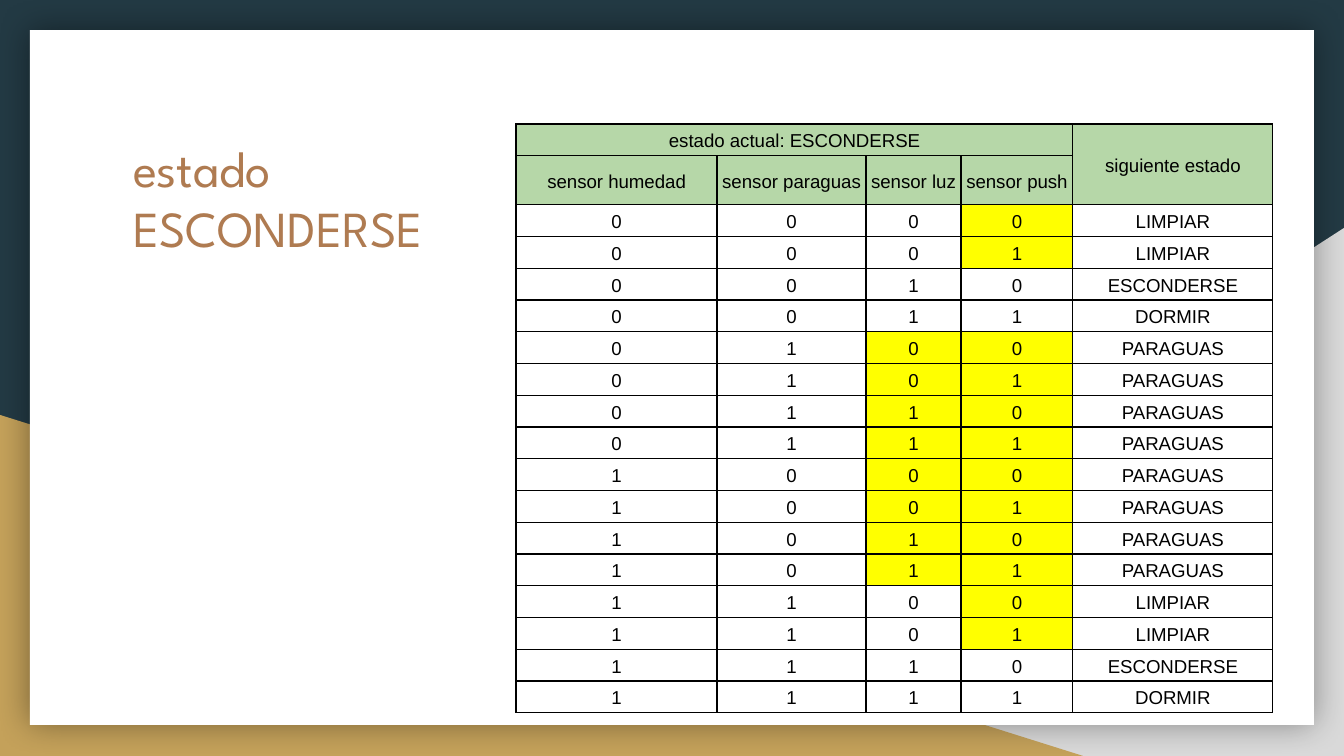
from dataclasses import dataclass
from itertools import product

from lxml.etree import SubElement
from pptx import Presentation
from pptx.dml.color import RGBColor
from pptx.enum.shapes import MSO_SHAPE
from pptx.enum.text import MSO_ANCHOR, PP_ALIGN
from pptx.oxml import parse_xml
from pptx.oxml.ns import nsdecls, qn
from pptx.util import Emu, Pt


@dataclass(frozen=True)
class Theme:
    navy: str = "233A44"
    gray: str = "D9D9D9"
    gold: str = "C4A15A"
    white: str = "FFFFFF"
    black: str = "000000"
    copper: str = "AF7B51"
    header: str = "B6D7A8"
    highlight: str = "FFFF00"
    title_font: str = "League Spartan"
    table_font: str = "Arial"
    title_size: float = 27
    table_size: float = 10
    border_width: float = 0.75
    shadow_blur: float = 18
    shadow_alpha: int = 40


def px(value):
    return Emu(round(value * 914400 / 134.4))


class SlideBuilder:
    def __init__(self, slide, theme):
        self.slide = slide
        self.theme = theme

    def background(self, color):
        fill = self.slide.background.fill
        fill.solid()
        fill.fore_color.rgb = RGBColor.from_string(color)

    def panel(self, preset, box, color, flipped=False, glow=False):
        shape = self.slide.shapes.add_shape(preset, *map(px, box))
        shape.shadow.inherit = False
        shape.fill.solid()
        shape.fill.fore_color.rgb = RGBColor.from_string(color)
        shape.line.fill.background()
        properties = shape._element.spPr
        if flipped:
            properties.find(qn("a:xfrm")).set("flipH", "1")
        if glow:
            properties.find(qn("a:effectLst")).append(parse_xml(
                f'<a:outerShdw {nsdecls("a")} blurRad="{Pt(self.theme.shadow_blur)}" '
                f'dist="0" dir="0" algn="ctr" rotWithShape="0">'
                f'<a:srgbClr val="{self.theme.black}">'
                f'<a:alpha val="{self.theme.shadow_alpha * 1000}"/>'
                f'</a:srgbClr></a:outerShdw>'))

    def run(self, paragraph, text, font, size, color):
        run = paragraph.add_run()
        run.text = text
        run.font.name = font
        run.font.size = Pt(size)
        run.font.color.rgb = RGBColor.from_string(color)

    def title(self, text, box):
        frame = self.slide.shapes.add_textbox(*map(px, box)).text_frame
        frame.word_wrap = True
        frame.margin_left = frame.margin_right = px(13)
        frame.margin_top = frame.margin_bottom = px(13)
        self.run(frame.paragraphs[0], text, self.theme.title_font,
                 self.theme.title_size, self.theme.copper)

    def table(self, left, top, widths, heights):
        table = self.slide.shapes.add_table(
            len(heights), len(widths), px(left), px(top),
            px(sum(widths)), px(sum(heights))).table
        table.first_row = table.horz_banding = False
        for column, width in zip(table.columns, widths):
            column.width = px(width)
        for row, height in zip(table.rows, heights):
            row.height = px(height)
        for cell in table.iter_cells():
            self.borders(cell)
        return table

    def borders(self, cell):
        properties = cell._tc.get_or_add_tcPr()
        for side in ("lnL", "lnR", "lnT", "lnB"):
            line = SubElement(properties, qn(f"a:{side}"),
                              w=str(Pt(self.theme.border_width)))
            fill = SubElement(line, qn("a:solidFill"))
            SubElement(fill, qn("a:srgbClr"), val=self.theme.black)

    def cell(self, cell, text, color):
        cell.fill.solid()
        cell.fill.fore_color.rgb = RGBColor.from_string(color)
        cell.vertical_anchor = MSO_ANCHOR.MIDDLE
        cell.margin_left = cell.margin_right = px(4)
        cell.margin_top = cell.margin_bottom = px(3)
        paragraph = cell.text_frame.paragraphs[0]
        paragraph.alignment = PP_ALIGN.CENTER
        paragraph.line_spacing = 1.15
        self.run(paragraph, text, self.theme.table_font,
                 self.theme.table_size, self.theme.black)


def next_state(humidity, umbrella, light, push):
    if humidity != umbrella:
        return "PARAGUAS"
    if not light:
        return "LIMPIAR"
    return "DORMIR" if push else "ESCONDERSE"


def ignored_sensors(humidity, umbrella, light):
    if humidity != umbrella:
        return {2, 3}
    return set() if light else {3}


theme = Theme()
presentation = Presentation()
presentation.slide_width, presentation.slide_height = px(1344), px(756)
slide = presentation.slides.add_slide(presentation.slide_layouts[6])
builder = SlideBuilder(slide, theme)

builder.background(theme.navy)
builder.panel(MSO_SHAPE.RIGHT_TRIANGLE, (527, 228, 817, 528), theme.gray, flipped=True)
builder.panel(MSO_SHAPE.RIGHT_TRIANGLE, (0, 415, 1083, 341), theme.gold)
builder.panel(MSO_SHAPE.RECTANGLE, (30, 30, 1284, 695), theme.white, glow=True)
builder.title("estado ESCONDERSE", (120, 124, 371, 140))

state_heights = [29 + index % 2 for index in range(16)]
table = builder.table(516, 124, [201, 149, 95, 112, 200], [29, 49] + state_heights)
table.cell(0, 0).merge(table.cell(0, 3))
table.cell(0, 4).merge(table.cell(1, 4))
builder.cell(table.cell(0, 0), "estado actual: ESCONDERSE", theme.header)
builder.cell(table.cell(0, 4), "siguiente estado", theme.header)
for column, sensor in enumerate(("humedad", "paraguas", "luz", "push")):
    builder.cell(table.cell(1, column), f"sensor {sensor}", theme.header)

for row, readings in enumerate(product((0, 1), repeat=4), start=2):
    ignored = ignored_sensors(*readings[:3])
    for column, reading in enumerate(readings):
        color = theme.highlight if column in ignored else theme.white
        builder.cell(table.cell(row, column), str(reading), color)
    builder.cell(table.cell(row, 4), next_state(*readings), theme.white)

presentation.save("out.pptx")
